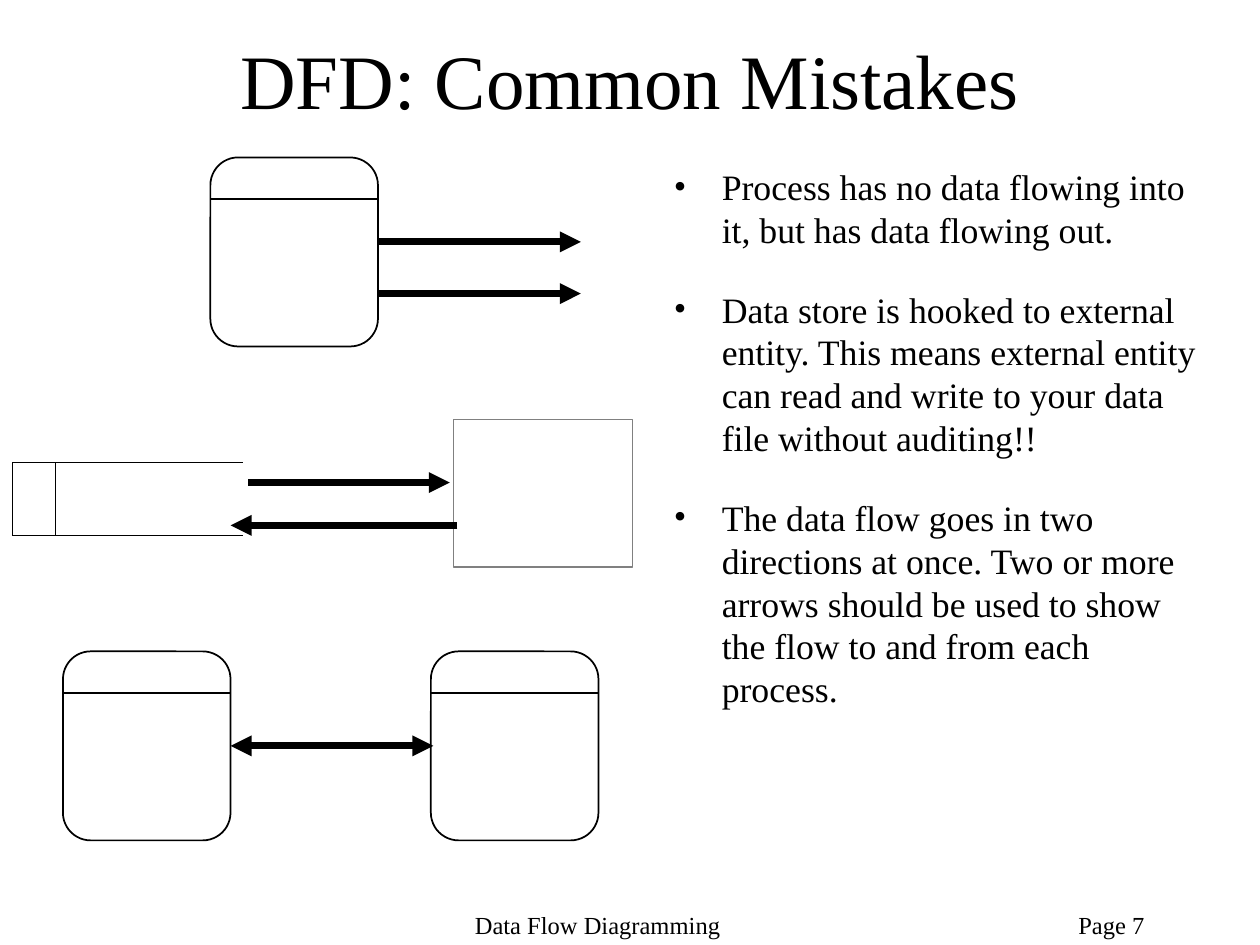
from lxml.etree import SubElement
from pptx import Presentation
from pptx.dml.color import RGBColor
from pptx.enum.shapes import MSO_CONNECTOR, MSO_SHAPE
from pptx.enum.text import MSO_ANCHOR, PP_ALIGN
from pptx.oxml.ns import qn
from pptx.util import Inches, Pt

BLACK = RGBColor(0, 0, 0)
GRAY = RGBColor(128, 128, 128)
FONT = "Times New Roman"

# Content
TITLE = "DFD: Common Mistakes"
MISTAKES = [
    "Process has no data flowing into it, but has data flowing out.",
    "Data store is hooked to external entity. This means external entity "
    "can read and write to your data file without auditing!!",
    "The data flow goes in two directions at once. Two or more arrows "
    "should be used to show the flow to and from each process.",
]
FOOTERS = [("Data Flow Diagramming", 3.67, 2.25), ("Page 7", 8.46, 1.44)]

# Drawing, in inches
PROC_W, PROC_H, HEAD_H, CURVE = 1.33, 1.5, 0.33, 0.22
PROCS = [(1.67, 1.25), (3.42, 5.17), (0.5, 5.17)]
STORE = dict(left=0.1, top=3.67, right=1.93, base=4.25, split=0.44)
ENTITY = (3.6, 3.33, 1.42, 1.17)
FLOWS = [  # x1, x2, y, arrow at both ends
    (3, 4.61, 1.92, False),
    (3, 4.61, 2.33, False),
    (1.97, 3.57, 3.83, False),
    (3.63, 1.83, 4.17, False),
    (1.83, 3.44, 5.92, True),
]

prs = Presentation()
prs.slide_width, prs.slide_height = Inches(10), Inches(7.5)
slide = prs.slides.add_slide(prs.slide_layouts[5])
shapes = slide.shapes


def write(frame, texts, size=14, align=PP_ALIGN.LEFT, anchor=MSO_ANCHOR.TOP,
          pitch=None, after=0, bullet=None, indent=0.38):
    frame.word_wrap = True
    frame.vertical_anchor = anchor
    for i, text in enumerate(texts):
        para = frame.add_paragraph() if i else frame.paragraphs[0]
        para.alignment = align
        para.space_after = Pt(after)
        if pitch:
            para.line_spacing = Pt(pitch)
        run = para.add_run()
        run.text = text
        run.font.name, run.font.size = FONT, Pt(size)
        run.font.color.rgb = BLACK
        if bullet:
            props = para._p.get_or_add_pPr()
            props.set("marL", str(Inches(indent)))
            props.set("indent", str(-Inches(indent)))
            SubElement(props, qn("a:buFont")).set("typeface", FONT)
            SubElement(props, qn("a:buChar")).set("char", bullet)


def line(x1, y1, x2, y2, width=1, ends=()):
    conn = shapes.add_connector(MSO_CONNECTOR.STRAIGHT,
                                *map(Inches, (x1, y1, x2, y2)))
    conn.line.color.rgb, conn.line.width = BLACK, Pt(width)
    for end in ends:
        SubElement(conn.line._get_or_add_ln(), qn(end)).set("type", "triangle")
    SubElement(conn._element.spPr, qn("a:effectLst"))


def outline(kind, box, color):
    shape = shapes.add_shape(kind, *map(Inches, box))
    shape.shadow.inherit = False
    shape.fill.background()
    shape.line.color.rgb, shape.line.width = color, Pt(1)
    return shape


def process(x, y):
    shape = outline(MSO_SHAPE.ROUNDED_RECTANGLE, (x, y, PROC_W, PROC_H), BLACK)
    shape.adjustments[0] = CURVE / PROC_W
    line(x, y + HEAD_H, x + PROC_W, y + HEAD_H)


def store(left, top, right, base, split):
    for y in (top, base):
        line(left, y, right, y)
    for x, width in ((left, 1), (split, 0.75)):
        line(x, top, x, base, width)


# Title
title = shapes.title
title.left, title.top, title.width, title.height = map(
    Inches, (0.75, 0, 8.5, 1.25))
write(title.text_frame, [TITLE], size=44, align=PP_ALIGN.CENTER,
      anchor=MSO_ANCHOR.MIDDLE)

# Processes, data store, external entity
for spot in PROCS:
    process(*spot)
store(**STORE)
outline(MSO_SHAPE.RECTANGLE, ENTITY, GRAY)

# Data flows
for x1, x2, y, both in FLOWS:
    line(x1, y, x2, y, 4, ("a:headEnd", "a:tailEnd") if both else ("a:tailEnd",))

# List of mistakes
body = shapes.add_textbox(*map(Inches, (5.25, 1.26, 4.42, 5.17)))
write(body.text_frame, MISTAKES, size=20.4, pitch=24.5, after=21, bullet="•")

# Footers
for text, x, width in FOOTERS:
    box = shapes.add_textbox(*map(Inches, (x, 7.17, width, 0.34)))
    write(box.text_frame, [text])

prs.save("out.pptx")
